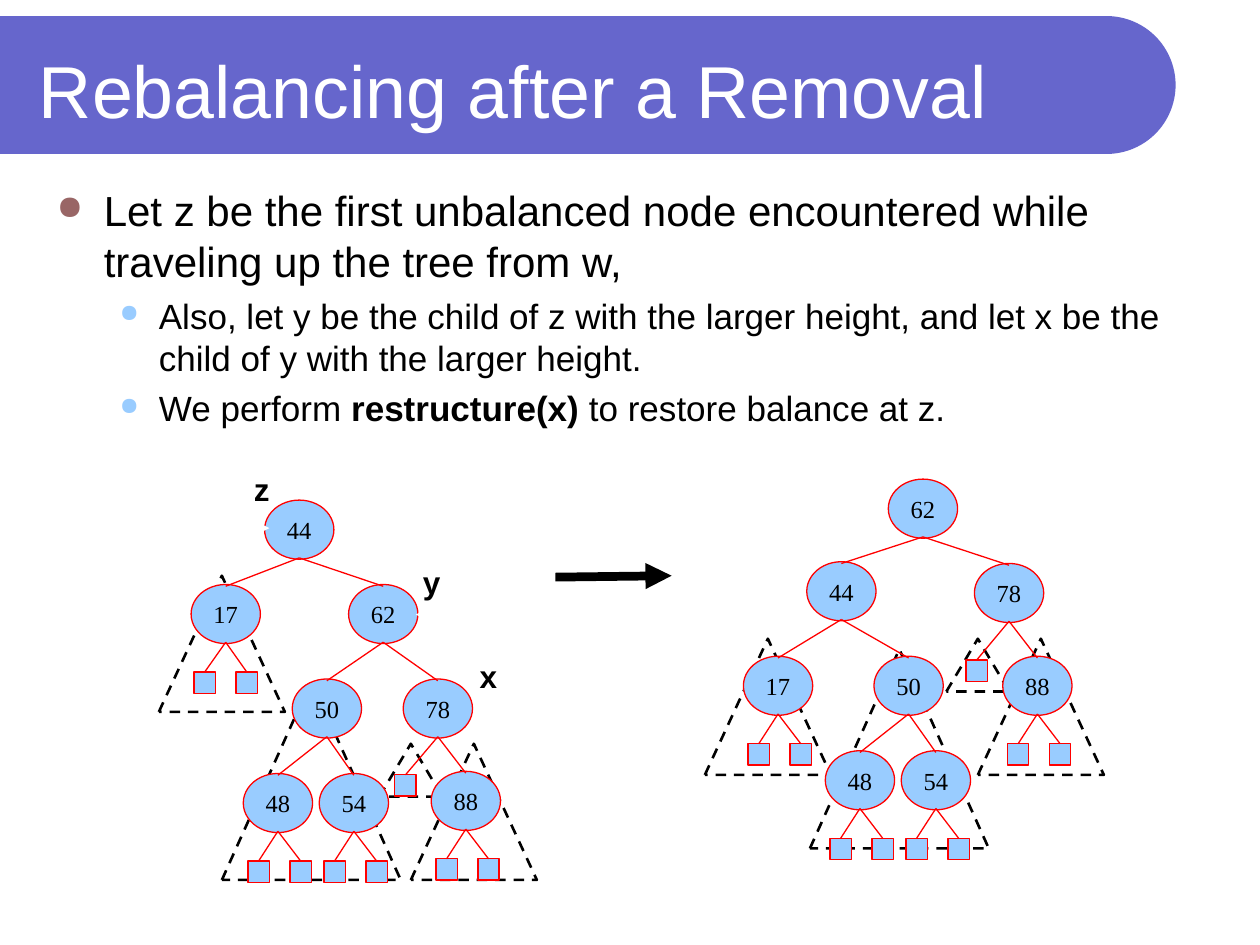
from math import cos, pi, sin
from typing import Any, NamedTuple

from lxml import etree
from pptx import Presentation
from pptx import util as u
from pptx.dml.color import RGBColor
from pptx.enum import dml, shapes, text
from pptx.oxml.ns import qn

COLOURS = {
    "banner": "6666CC",
    "node": "99CCFF",
    "edge": "FF0000",
    "ink": "000000",
    "paper": "FFFFFF",
    "bullet": "996666",
}
NODE_W, NODE_H, LEAF = 39.6, 33.8, 12.2


class Node(NamedTuple):
    value: int
    x: float
    y: float
    parent: int = 0
    leaves: tuple[float, ...] = ()
    drop: float = 50


class Subtree(NamedTuple):
    x: float
    y: float
    width: float = 72
    height: float = 77.8


class Label(NamedTuple):
    words: str
    x: float
    y: float


class Bullet(NamedTuple):
    spans: tuple[tuple[str, bool], ...]
    size: float
    level: int
    indent: float
    hang: float
    before: float
    colour: str
    percent: int


PAIR = (-11, 13)
BEFORE = [
    Node(44, 171, 285.8),
    Node(17, 129, 334, 44, (-12, 12)),
    Node(62, 219, 334, 44),
    Node(78, 250.2, 388, 62, (-18.5,), 54.8),
    Node(50, 186.8, 388, 62),
    Node(88, 266.2, 440.8, 78, PAIR),
    Node(48, 158.8, 442, 50, PAIR),
    Node(54, 202.2, 442, 50, PAIR),
]
AFTER = [
    Node(62, 527.4, 273.8),
    Node(44, 480.8, 321, 62),
    Node(78, 576.6, 322, 62, (-18.5,), 55.2),
    Node(17, 444.6, 375, 44, PAIR),
    Node(50, 519.2, 375, 44),
    Node(88, 592.8, 375, 78, PAIR),
    Node(48, 491.4, 429, 50, PAIR),
    Node(54, 534.8, 429, 50, PAIR),
]
SUBTREES = [
    Subtree(558.8, 365),
    Subtree(540.8, 365, 36, 30.2),
    Subtree(462.8, 371, 102.2, 113.8),
    Subtree(402.8, 365),
    Subtree(234.8, 425),
    Subtree(216.8, 425, 36, 30.2),
    Subtree(126.8, 389, 102.2, 113.8),
    Subtree(90.8, 329),
]
LABELS = [Label("x", 267, 372), Label("y", 234.6, 318), Label("z", 138, 265)]
BULLETS = [
    Bullet((("Let z be the first unbalanced node encountered while "
             "traveling up the tree from w,", False),),
           24, 0, 27, 27, 0, "bullet", 80),
    Bullet((("Also, let y be the child of z with the larger height, "
             "and let x be the child of y with the larger height.", False),),
           20, 1, 58.5, 22.5, 5, "node", 70),
    Bullet((("We perform ", False), ("restructure(x) ", True),
            ("to restore balance at z.", False)),
           20, 1, 58.5, 22.5, 5, "node", 70),
]


def rgb(name: str) -> RGBColor:
    return RGBColor.from_string(COLOURS[name])


def apply(target: Any, formats: dict[str, Any]) -> None:
    for name, value in formats.items():
        setattr(target, name, value)


def write(para: Any, words: str, size: float, colour: str = "ink",
          font: str = "Arial", bold: bool = False) -> None:
    span = para.add_run()
    span.text = words
    apply(span.font, {"name": font, "size": u.Pt(size), "bold": bold})
    span.font.color.rgb = rgb(colour)


def add_shape(page: Any, kind: Any, x: float, y: float, width: float,
              height: float, fill: str = "", line: str = "edge",
              weight: float = 0.75) -> Any:
    shape = page.shapes.add_shape(kind, u.Pt(x), u.Pt(y), u.Pt(width), u.Pt(height))
    shape.shadow.inherit = False
    if fill:
        shape.fill.solid()
        shape.fill.fore_color.rgb = rgb(fill)
    else:
        shape.fill.background()
    shape.line.color.rgb = rgb(line)
    shape.line.width = u.Pt(weight)
    return shape


def add_line(page: Any, x1: float, y1: float, x2: float, y2: float,
             colour: str = "edge", weight: float = 0.75, arrow: bool = False) -> Any:
    line = page.shapes.add_connector(shapes.MSO_CONNECTOR.STRAIGHT,
                                     u.Pt(x1), u.Pt(y1), u.Pt(x2), u.Pt(y2))
    line.line.color.rgb = rgb(colour)
    line.line.width = u.Pt(weight)
    if arrow:
        etree.SubElement(line.line._get_or_add_ln(), qn("a:tailEnd"), type="triangle")
    etree.SubElement(line._element.spPr, qn("a:effectLst"))
    return line


def add_box(page: Any, x: float, y: float, width: float, height: float,
            wrap: bool = True, anchor: Any = text.MSO_ANCHOR.TOP) -> Any:
    box = page.shapes.add_textbox(u.Pt(x), u.Pt(y), u.Pt(width), u.Pt(height))
    apply(box.text_frame, {"word_wrap": wrap, "vertical_anchor": anchor})
    return box.text_frame


def draw_banner(page: Any) -> None:
    x, y, radius, steps = 632.4, 48.6, 39.4, 48
    arc = [(x + radius * cos(angle), y + radius * sin(angle))
           for angle in (pi * step / steps - pi / 2 for step in range(steps + 1))]
    builder = page.shapes.build_freeform(0, u.Pt(y - radius))
    builder.add_line_segments([(u.Pt(px), u.Pt(py)) for px, py in arc]
                              + [(0, u.Pt(y + radius))], close=True)
    banner = builder.convert_to_shape()
    banner.shadow.inherit = False
    banner.fill.solid()
    banner.fill.fore_color.rgb = rgb("banner")
    banner.line.fill.background()


def draw_tree(page: Any, nodes: list[Node]) -> None:
    by_value = {node.value: node for node in nodes}
    for node in nodes:
        circle = add_shape(page, shapes.MSO_SHAPE.OVAL, node.x - NODE_W / 2, node.y,
                           NODE_W, NODE_H, "node")
        apply(circle.text_frame, {"word_wrap": False,
                                  "vertical_anchor": text.MSO_ANCHOR.MIDDLE})
        para = circle.text_frame.paragraphs[0]
        para.alignment = text.PP_ALIGN.CENTER
        write(para, str(node.value), 14, font="Times New Roman")
    for node in nodes:
        bottom = node.y + NODE_H - 0.8
        if node.parent:
            parent = by_value[node.parent]
            add_line(page, parent.x, parent.y + NODE_H - 0.8, node.x, node.y + 1)
        for offset in node.leaves:
            x, y = node.x + offset, node.y + node.drop
            leaf = add_shape(page, shapes.MSO_SHAPE.RECTANGLE, x - LEAF / 2, y,
                             LEAF, LEAF, "node")
            add_line(page, node.x, bottom, x, y).end_connect(leaf, 0)


def add_bullet(para: Any, bullet: Bullet) -> None:
    apply(para, {"level": bullet.level, "space_before": u.Pt(bullet.before)})
    props = para._p.get_or_add_pPr()
    props.set("marL", str(u.Pt(bullet.indent)))
    props.set("indent", str(-u.Pt(bullet.hang)))
    colour = etree.SubElement(props, qn("a:buClr"))
    etree.SubElement(colour, qn("a:srgbClr"), val=COLOURS[bullet.colour])
    etree.SubElement(props, qn("a:buSzPct"), val=str(bullet.percent * 1000))
    etree.SubElement(props, qn("a:buChar"), char="●")
    for words, bold in bullet.spans:
        write(para, words, bullet.size, bold=bold)


def main() -> None:
    deck = Presentation()
    apply(deck, {"slide_width": u.Pt(720), "slide_height": u.Pt(540)})
    page = deck.slides.add_slide(deck.slide_layouts[6])
    draw_banner(page)
    for subtree in SUBTREES:
        triangle = add_shape(page, shapes.MSO_SHAPE.ISOSCELES_TRIANGLE, *subtree,
                             line="ink", weight=1.5)
        triangle.line.dash_style = dml.MSO_LINE.DASH
    for tree in (BEFORE, AFTER):
        draw_tree(page, tree)
    for label in LABELS:
        frame = add_box(page, label.x, label.y, 24, 29, wrap=False)
        write(frame.paragraphs[0], label.words, 18, bold=True)
    add_line(page, 129.6, 301.8, 154, 301.8, "paper", arrow=True)
    add_line(page, 267.8, 351.2, 237.6, 351.2, "paper", arrow=True)
    title = add_box(page, 15.2, 15.2, 631.4, 72, anchor=text.MSO_ANCHOR.MIDDLE)
    write(title.paragraphs[0], "Rebalancing after a Removal", 42, "paper")
    body = add_box(page, 25.2, 102, 669, 412)
    for index, bullet in enumerate(BULLETS):
        add_bullet(body.add_paragraph() if index else body.paragraphs[0], bullet)
    add_line(page, 317.4, 329.8, 383.8, 329, "ink", 5, arrow=True)
    deck.save("out.pptx")


if __name__ == "__main__":
    main()
